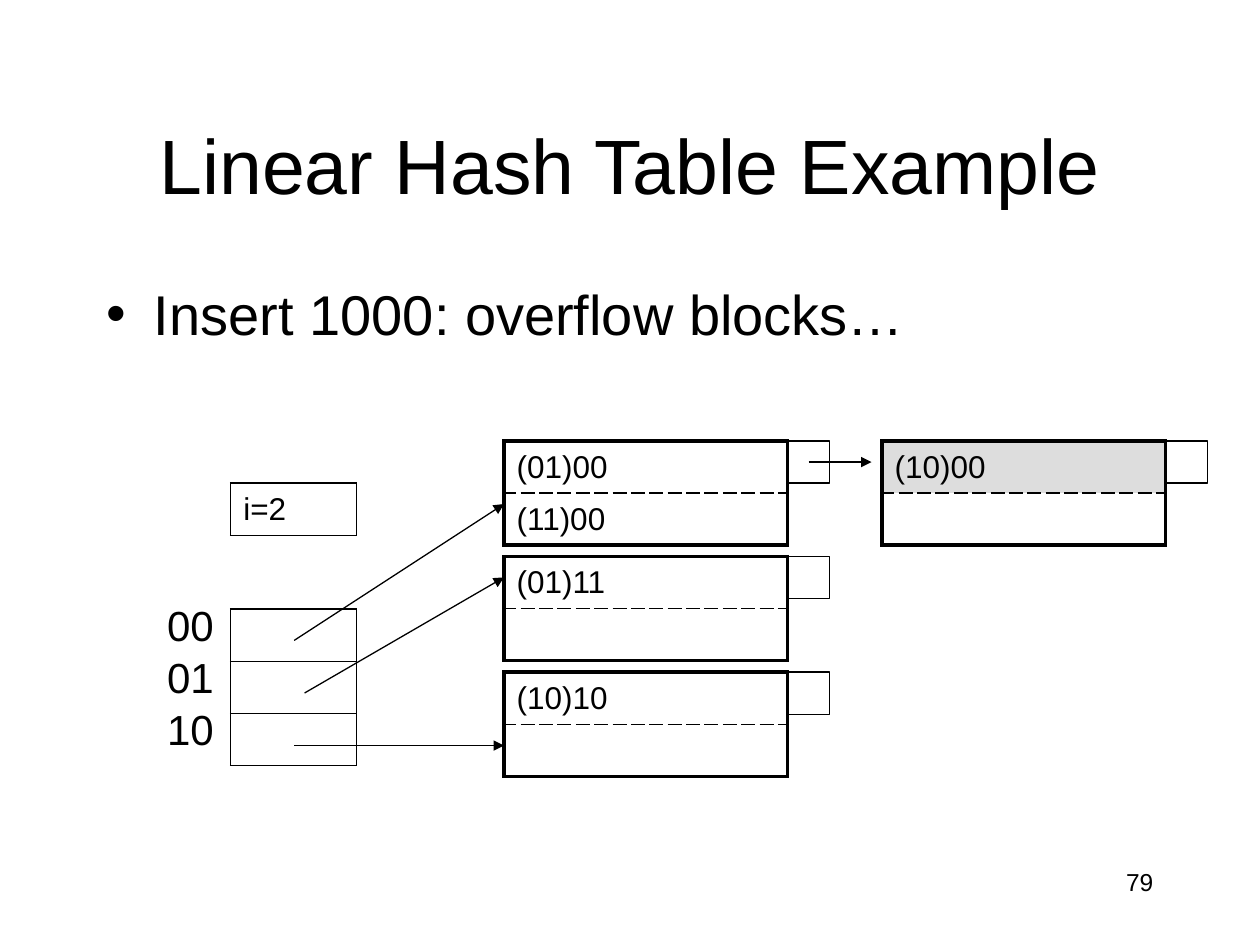
from lxml.etree import SubElement
from pptx import Presentation
from pptx.dml.color import RGBColor
from pptx.enum.shapes import MSO_CONNECTOR, MSO_SHAPE
from pptx.enum.text import MSO_ANCHOR, MSO_AUTO_SIZE, PP_ALIGN
from pptx.oxml.ns import qn
from pptx.util import Cm, Pt

COLORS = {"ink": "000000", "new_key": "DDDDDD"}
FONT = "Arial"
ROW = 1.05
BLOCK_WIDTH = 5.72
SLOT = 0.85


def color(name):
    return RGBColor.from_string(COLORS[name])


def write(paragraph, text, size, align=PP_ALIGN.LEFT):
    paragraph.alignment = align
    run = paragraph.add_run()
    run.text = text
    run.font.name = FONT
    run.font.size = Pt(size)
    run.font.bold = False
    run.font.color.rgb = color("ink")


def place(part, left, top, width, height):
    part.left, part.top = Cm(left), Cm(top)
    part.width, part.height = Cm(width), Cm(height)


def add_label(slide, left, top, width, height, text, size, align=PP_ALIGN.LEFT, wrap=True):
    label = slide.shapes.add_textbox(Cm(left), Cm(top), Cm(width), Cm(height))
    label.text_frame.word_wrap = wrap
    write(label.text_frame.paragraphs[0], text, size, align)


def add_border(cell, side, width, dash):
    line = SubElement(cell._tc.get_or_add_tcPr(), qn(f"a:ln{side}"), w=str(Pt(width)))
    fill = SubElement(line, qn("a:solidFill"))
    SubElement(fill, qn("a:srgbClr"), val=COLORS["ink"])
    SubElement(line, qn("a:prstDash"), val=dash)


def add_cells(slide, left, top, width, keys, outer=1, divider="solid", fill=None):
    count = len(keys)
    table = slide.shapes.add_table(
        count, 1, Cm(left), Cm(top), Cm(width), Cm(ROW * count)).table
    table.first_row = table.horz_banding = False
    for index, key in enumerate(keys):
        table.rows[index].height = Cm(ROW)
        cell = table.cell(index, 0)
        cell.vertical_anchor = MSO_ANCHOR.MIDDLE
        edge, inner = (outer, "solid"), (1, divider)
        add_border(cell, "L", *edge)
        add_border(cell, "R", *edge)
        add_border(cell, "T", *(inner if index else edge))
        add_border(cell, "B", *(inner if index < count - 1 else edge))
        if fill and key:
            cell.fill.solid()
            cell.fill.fore_color.rgb = color(fill)
        else:
            cell.fill.background()
        if key:
            write(cell.text_frame.paragraphs[0], key, 18)


def add_block(slide, left, top, keys, fill=None):
    add_cells(slide, left, top, BLOCK_WIDTH, keys, 2.25, "lgDash", fill)
    slot = slide.shapes.add_shape(
        MSO_SHAPE.RECTANGLE, Cm(left + BLOCK_WIDTH), Cm(top), Cm(SLOT), Cm(SLOT))
    slot.shadow.inherit = False
    slot.fill.background()
    slot.line.color.rgb = color("ink")
    slot.line.width = Pt(0.75)


def add_directory(slide, left, top, hashes):
    add_cells(slide, left, top, 2.54, [""] * len(hashes))
    for index, bits in enumerate(hashes):
        add_label(slide, left - 1.53, top - 0.32 + index * ROW, 1.45, 1.27, bits, 24, wrap=False)


def add_pointer(slide, start_x, start_y, end_x, end_y):
    pointer = slide.shapes.add_connector(
        MSO_CONNECTOR.STRAIGHT, Cm(start_x), Cm(start_y), Cm(end_x), Cm(end_y))
    pointer.line.color.rgb = color("ink")
    pointer.line.width = Pt(0.75)
    SubElement(pointer.line._get_or_add_ln(), qn("a:tailEnd"), type="triangle")
    SubElement(pointer._element.spPr, qn("a:effectLst"))


def add_title(slide, left, top, width, height, text):
    title = slide.shapes.title
    place(title, left, top, width, height)
    title.text_frame.auto_size = MSO_AUTO_SIZE.NONE
    title.text_frame.vertical_anchor = MSO_ANCHOR.MIDDLE
    write(title.text_frame.paragraphs[0], text, 44, PP_ALIGN.CENTER)


def add_body(slide, left, top, width, height, text):
    body = slide.placeholders[1]
    place(body, left, top, width, height)
    body.text_frame.auto_size = MSO_AUTO_SIZE.NONE
    item = body.text_frame.paragraphs[0]
    properties = item._p.get_or_add_pPr()
    properties.set("marL", str(Cm(0.95)))
    properties.set("indent", str(Cm(-0.95)))
    SubElement(properties, qn("a:buFont"), typeface=FONT)
    SubElement(properties, qn("a:buChar"), char="•")
    item.space_before = Pt(0)
    write(item, text, 32)


def add_hash_table(slide, left, top):
    blocks_left = left + 5.51
    buckets = [["(01)00", "(11)00"], ["(01)11", ""], ["(10)10", ""]]
    for index, keys in enumerate(buckets):
        add_block(slide, blocks_left, top + index * 2.33, keys)
    add_block(slide, blocks_left + 7.62, top, ["(10)00", ""], "new_key")
    add_cells(slide, left, top + 0.85, 2.54, ["i=2"])
    add_directory(slide, left, top + 3.39, ["00", "01", "10"])
    for start_x, start_y, end_y in [(1.28, 4.02, 1.27), (1.49, 5.08, 2.75), (1.28, 6.14, 6.14)]:
        add_pointer(slide, left + start_x, top + start_y, blocks_left, top + end_y)
    slot_middle = top + SLOT / 2
    add_pointer(slide, blocks_left + 6.14, slot_middle, blocks_left + 7.41, slot_middle)


def main():
    deck = Presentation()
    deck.slide_width, deck.slide_height = Cm(25.4), Cm(19.05)
    slide = deck.slides.add_slide(deck.slide_layouts[1])
    add_title(slide, 1.9, 1.7, 21.6, 3.18, "Linear Hash Table Example")
    add_body(slide, 1.9, 5.5, 21.6, 11.43, "Insert 1000: overflow blocks…")
    add_hash_table(slide, 4.65, 8.89)
    add_label(slide, 18.2, 17.35, 5.3, 1.27, "79", 14, PP_ALIGN.RIGHT)
    deck.save("out.pptx")


if __name__ == "__main__":
    main()
